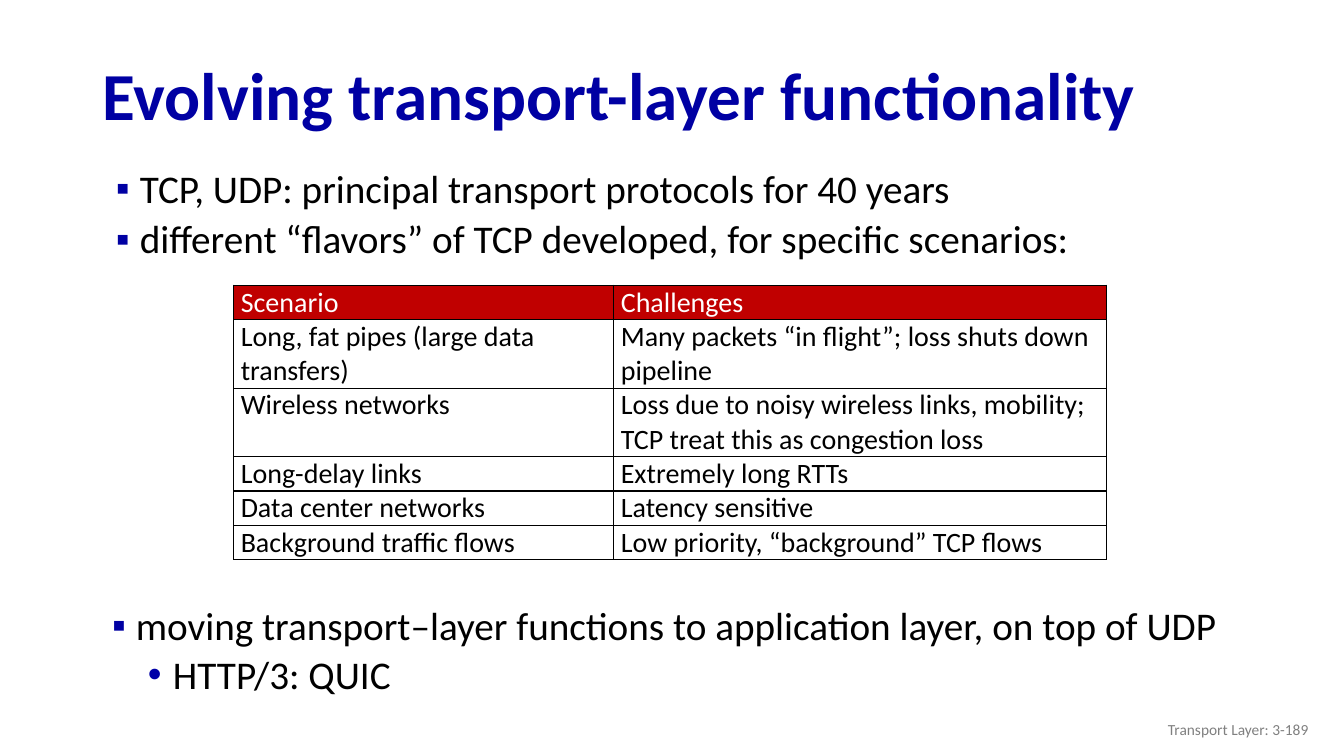
from lxml import etree
from pptx import Presentation
from pptx.dml.color import RGBColor
from pptx.enum.text import MSO_ANCHOR, PP_ALIGN
from pptx.oxml.ns import qn
from pptx.util import Pt

MIDDLE = MSO_ANCHOR.MIDDLE
TOP = MSO_ANCHOR.TOP
RIGHT = PP_ALIGN.RIGHT

NAVY = RGBColor(0x00, 0x00, 0xA3)
BLUE = RGBColor(0x00, 0x00, 0xA8)
RED = RGBColor(0xC0, 0x00, 0x00)
GRAY = RGBColor(0x80, 0x80, 0x80)
BLACK = RGBColor(0x00, 0x00, 0x00)
WHITE = RGBColor(0xFF, 0xFF, 0xFF)

ROW_HEIGHT = 24.5
SCENARIOS = [
    # scenario, challenge, lines of text in the row
    ("Scenario", "Challenges", 1),
    ("Long, fat pipes (large data transfers)",
     "Many packets “in flight”; loss shuts down pipeline", 2),
    ("Wireless networks",
     "Loss due to noisy wireless links, mobility; TCP treat this as congestion loss", 2),
    ("Long-delay links", "Extremely long RTTs", 1),
    ("Data center networks", "Latency sensitive", 1),
    ("Background traffic flows", "Low priority, “background” TCP flows", 1),
]


def add_color(parent, color):
    fill = etree.SubElement(parent, qn("a:solidFill"))
    etree.SubElement(fill, qn("a:srgbClr"), val=str(color))


class SlideBuilder:
    font_name = "Calibri"

    def __init__(self, slide):
        self.slide = slide

    def style(self, paragraph, size, color, bold=False):
        font = paragraph.font
        font.name = self.font_name
        font.size = Pt(size)
        font.bold = bold
        font.color.rgb = color

    def text_frame(self, left, top, width, height, anchor=TOP):
        box = self.slide.shapes.add_textbox(Pt(left), Pt(top), Pt(width), Pt(height))
        frame = box.text_frame
        frame.word_wrap = True
        frame.vertical_anchor = anchor
        return frame

    def line(self, left, top, width, height, text, size, color, bold=False, align=None):
        """Add a box with one paragraph, centred vertically."""
        paragraph = self.text_frame(left, top, width, height, MIDDLE).paragraphs[0]
        paragraph.text = text
        paragraph.alignment = align
        paragraph.line_spacing = 0.9
        self.style(paragraph, size, color, bold)

    def bullet(self, paragraph, symbol, color, margin, hanging):
        properties = paragraph._p.get_or_add_pPr()
        properties.set("marL", str(Pt(margin)))
        properties.set("indent", str(-Pt(hanging)))
        bullet_color = etree.SubElement(properties, qn("a:buClr"))
        etree.SubElement(bullet_color, qn("a:srgbClr"), val=str(color))
        etree.SubElement(properties, qn("a:buFont"), typeface="Arial")
        etree.SubElement(properties, qn("a:buChar"), char=symbol)

    def bullet_list(self, left, top, width, height, items):
        """Add a list of (text, level, space before) items."""
        frame = self.text_frame(left, top, width, height)
        for index, (text, level, space) in enumerate(items):
            paragraph = frame.add_paragraph() if index else frame.paragraphs[0]
            paragraph.text = text
            paragraph.level = level
            if level:
                self.bullet(paragraph, "•", BLUE, 54.5, 18)
            else:
                self.bullet(paragraph, "▪", NAVY, 28, 17)
            paragraph.line_spacing = 0.9
            paragraph.space_before = Pt(space)
            self.style(paragraph, 28, BLACK)

    def cell(self, cell, text, is_header):
        cell.margin_left = cell.margin_right = Pt(5)
        cell.margin_top = cell.margin_bottom = 0
        properties = cell._tc.get_or_add_tcPr()
        for side in ("a:lnL", "a:lnR", "a:lnT", "a:lnB"):
            add_color(etree.SubElement(properties, qn(side), w=str(Pt(1))), BLACK)
        if is_header:
            cell.fill.solid()
            cell.fill.fore_color.rgb = RED
        else:
            cell.fill.background()
        paragraph = cell.text_frame.paragraphs[0]
        paragraph.text = text
        self.style(paragraph, 20, WHITE if is_header else BLACK)

    def table(self, left, top, widths, rows):
        height = ROW_HEIGHT * sum(lines for *_, lines in rows)
        table = self.slide.shapes.add_table(
            len(rows), len(widths), Pt(left), Pt(top), Pt(sum(widths)), Pt(height)).table
        table.first_row = table.horz_banding = False
        for column, width in zip(table.columns, widths):
            column.width = Pt(width)
        for row_index, (*texts, lines) in enumerate(rows):
            table.rows[row_index].height = Pt(ROW_HEIGHT * lines)
            for column_index, text in enumerate(texts):
                self.cell(table.cell(row_index, column_index), text, row_index == 0)


def main():
    presentation = Presentation()
    presentation.slide_width = Pt(960)
    presentation.slide_height = Pt(540)
    builder = SlideBuilder(presentation.slides.add_slide(presentation.slide_layouts[6]))

    builder.line(66.3, 35.3, 828, 70.5, "Evolving transport-layer functionality",
                 48, NAVY, bold=True)
    builder.bullet_list(64.8, 117.4, 828, 78, [
        ("TCP, UDP: principal transport protocols for 40 years", 0, 0),
        ("different “flavors” of TCP developed, for specific scenarios:", 0, 6),
    ])
    builder.table(167, 203.8, (271.5, 352), SCENARIOS)
    builder.bullet_list(62, 429.5, 828, 77, [
        ("moving transport–layer functions to application layer, on top of UDP", 0, 0),
        ("HTTP/3: QUIC", 1, 5),
    ])
    builder.line(725.8, 507.6, 216, 28.8, "Transport Layer: 3-189", 11, GRAY, align=RIGHT)

    presentation.save("out.pptx")


if __name__ == "__main__":
    main()
